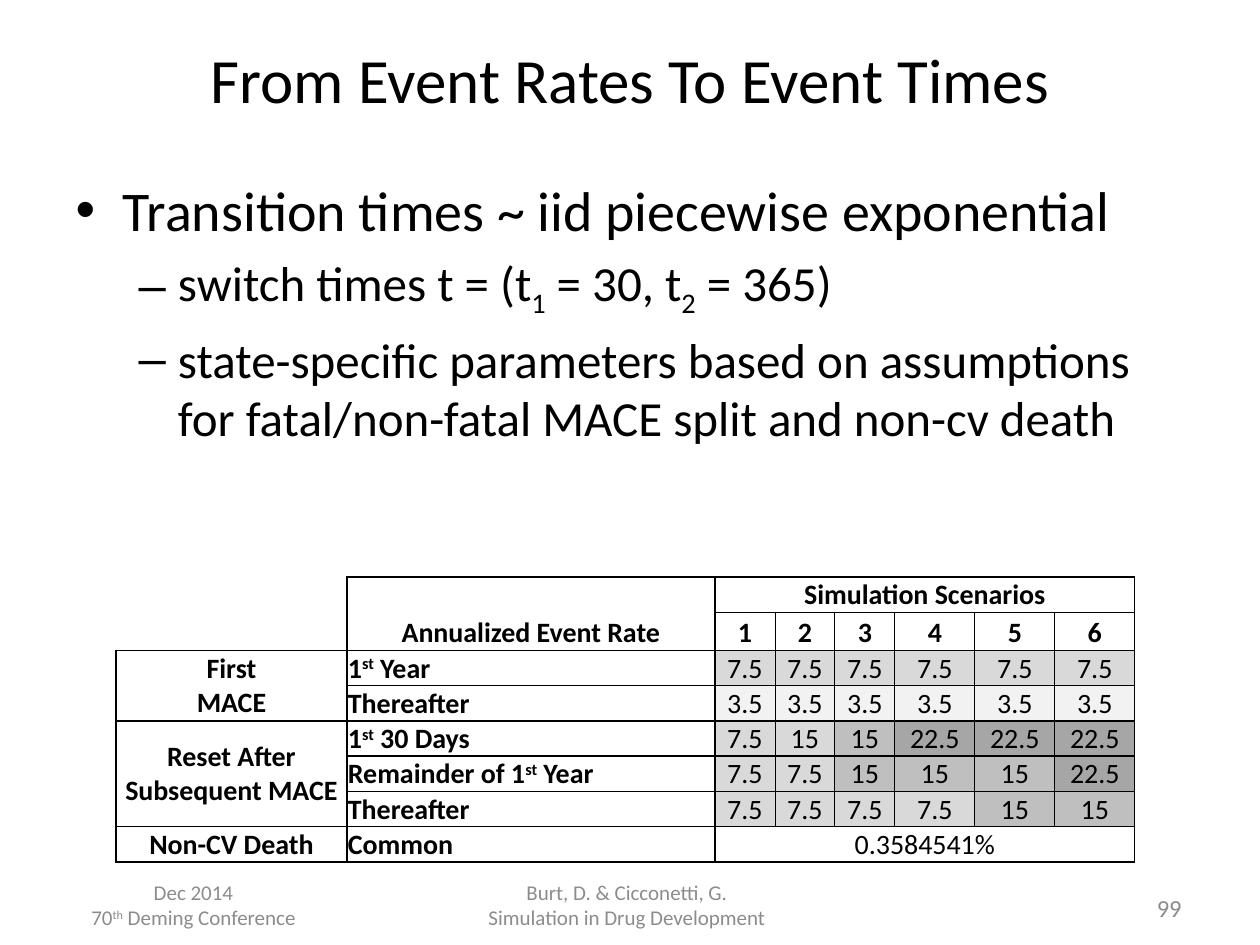
from lxml import etree
from pptx import Presentation
from pptx import util as u
from pptx.dml import color
from pptx.enum import text
from pptx.oxml import ns

SCALE = 914400 / 126
BLACK, GREY, WHITE = "000000", "8C8C8C", "FFFFFF"
LEFT, CENTER, RIGHT = text.PP_ALIGN.LEFT, text.PP_ALIGN.CENTER, text.PP_ALIGN.RIGHT
NO_GRID = "{2D5ABB26-0587-4C30-8999-92F81FD0307C}"
SHADES = {"3.5": "F2F2F2", "7.5": "D9D9D9", "15": "BFBFBF", "22.5": "A6A6A6"}

COLUMNS = [231, 368, 60, 60, 60, 80, 80, 80]
ROWS = [34, 38, 34, 35, 34, 34, 34, 34]
RATES = [
    ["", "", "Simulation Scenarios"] + [""] * 5,
    ["", "Annualized Event Rate", "1", "2", "3", "4", "5", "6"],
    ["First\nMACE", "1|st| Year"] + ["7.5"] * 6,
    ["", "Thereafter"] + ["3.5"] * 6,
    ["Reset After Subsequent MACE", "1|st| 30 Days",
     "7.5", "15", "15", "22.5", "22.5", "22.5"],
    ["", "Remainder of 1|st| Year", "7.5", "7.5", "15", "15", "15", "22.5"],
    ["", "Thereafter", "7.5", "7.5", "7.5", "7.5", "15", "15"],
    ["Non-CV Death", "Common", "0.3584541%"] + [""] * 5,
]
MERGES = [(0, 2, 0, 7), (2, 0, 3, 0), (4, 0, 6, 0), (7, 2, 7, 7)]


def px(length):
    return u.Emu(round(length * SCALE))


def rgb(value):
    return color.RGBColor.from_string(value)


def write_line(paragraph, line, size, ink, align, bold=False, shift=30):
    paragraph.alignment = align
    for order, piece in enumerate(line.split("|")):
        run = paragraph.add_run()
        run.text = piece
        run.font.name = "Calibri"
        run.font.size = u.Pt(size)
        run.font.bold = bold
        run.font.color.rgb = rgb(ink)
        if order % 2:
            run.font._element.set("baseline", str(shift * 1000))


def write_lines(frame, lines, size, ink, align, bold=False):
    for order, line in enumerate(lines):
        paragraph = frame.add_paragraph() if order else frame.paragraphs[0]
        write_line(paragraph, line, size, ink, align, bold)


def place(shape, left, top, width, height):
    shape.left, shape.top = px(left), px(top)
    shape.width, shape.height = px(width), px(height)


def add_title(slide, heading):
    title = slide.shapes.title
    place(title, 63, 20, 1134, 117)
    title.text_frame.vertical_anchor = text.MSO_ANCHOR.MIDDLE
    write_line(title.text_frame.paragraphs[0], heading, 36, BLACK, CENTER)


def add_bullets(slide, points):
    body = slide.placeholders[1]
    place(body, 63, 169, 1134, 365)
    for order, (level, line) in enumerate(points):
        paragraph = body.text_frame.add_paragraph() if order else body.text_frame.paragraphs[0]
        paragraph.level = level
        if order == 0:
            paragraph.space_before = u.Pt(0)
        write_line(paragraph, line, 28 if level else 32, BLACK, LEFT, shift=-25)


def add_footer(slide, box, lines, size, align, anchor):
    frame = slide.shapes.add_textbox(*map(px, box)).text_frame
    frame.word_wrap = True
    frame.vertical_anchor = anchor
    write_lines(frame, lines, size, GREY, align)


def set_borders(cell, widths):
    for side in "LRTB":
        if side in widths:
            edge = etree.SubElement(cell._tc.get_or_add_tcPr(), ns.qn(f"a:ln{side}"),
                                    w=str(u.Pt(widths[side])))
            fill = etree.SubElement(edge, ns.qn("a:solidFill"))
            etree.SubElement(fill, ns.qn("a:srgbClr"), val=BLACK)


def border_widths(row, column):
    widths = dict.fromkeys("LRTB", 1)
    if row < 2 and column < 2:
        del widths["B" if row == 0 else "T"]
    if row < 2 and column == 0:
        del widths["L"]
        widths.pop("T", None)
    if 0 < row < 7 and column > 2:
        widths["L"] = 0.5
    if 0 < row < 7 and 2 <= column < 7:
        widths["R"] = 0.5
    return widths


def cell_shade(row, column, value):
    if row in (0, 7) and column >= 2:
        return WHITE
    if row < 2 or column < 2:
        return None
    return SHADES["7.5"] if (row, column) == (4, 3) else SHADES[value]


def fill_cell(cell, row, column, value):
    cell.margin_left = cell.margin_right = cell.margin_top = px(1)
    cell.margin_bottom = 0
    cell.vertical_anchor = text.MSO_ANCHOR.BOTTOM if row < 2 else text.MSO_ANCHOR.MIDDLE
    if value:
        align = LEFT if column == 1 and row > 1 else CENTER
        write_lines(cell.text_frame, value.split("\n"), 16, BLACK, align,
                    bold=row < 2 or column < 2)
    else:
        etree.SubElement(cell.text_frame.paragraphs[0]._p, ns.qn("a:endParaRPr"), sz="1600")
    set_borders(cell, border_widths(row, column))
    shade = cell_shade(row, column, value)
    if shade:
        cell.fill.solid()
        cell.fill.fore_color.rgb = rgb(shade)
    else:
        cell.fill.background()


def add_rates_table(slide):
    table = slide.shapes.add_table(len(ROWS), len(COLUMNS), px(116), px(577),
                                   px(sum(COLUMNS)), px(sum(ROWS))).table
    table.first_row = table.horz_banding = False
    table._tbl.tblPr.find(ns.qn("a:tableStyleId")).text = NO_GRID
    for column, width in zip(table.columns, COLUMNS):
        column.width = px(width)
    for row, height in zip(table.rows, ROWS):
        row.height = px(height)
    for row, values in enumerate(RATES):
        for column, value in enumerate(values):
            fill_cell(table.cell(row, column), row, column, value)
    for top, left, bottom, right in MERGES:
        table.cell(top, left).merge(table.cell(bottom, right))


def main():
    deck = Presentation()
    deck.slide_width, deck.slide_height = px(1260), px(945)
    slide = deck.slides.add_slide(deck.slide_layouts[1])
    add_title(slide, "From Event Rates To Event Times")
    add_bullets(slide, [
        (0, "Transition times ~ iid piecewise exponential"),
        (1, "switch times t = (t|1| = 30, t|2| = 365)"),
        (1, "state-specific parameters based on assumptions "
            "for fatal/non-fatal MACE split and non-cv death"),
    ])
    add_rates_table(slide)
    middle, top = text.MSO_ANCHOR.MIDDLE, text.MSO_ANCHOR.TOP
    add_footer(slide, (63, 880, 261, 50), ["Dec 2014", "70|th| Deming Conference"],
               12, CENTER, middle)
    add_footer(slide, (343, 880, 568, 50),
               ["Burt, D. & Cicconetti, G.", "Simulation in Drug Development"],
               12, CENTER, middle)
    add_footer(slide, (1014, 887, 180, 43), ["99"], 14, RIGHT, top)
    deck.save("out.pptx")


if __name__ == "__main__":
    main()
